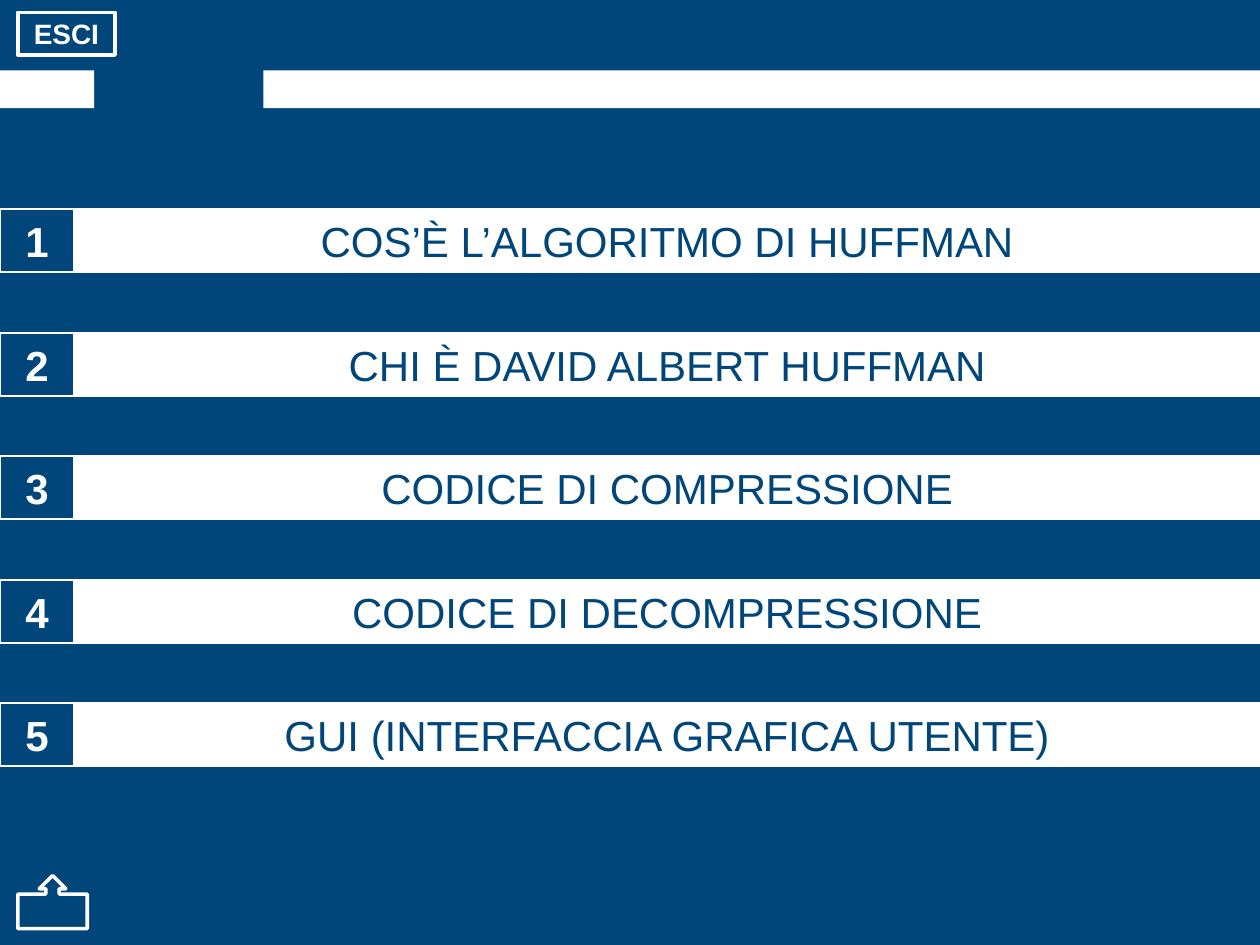
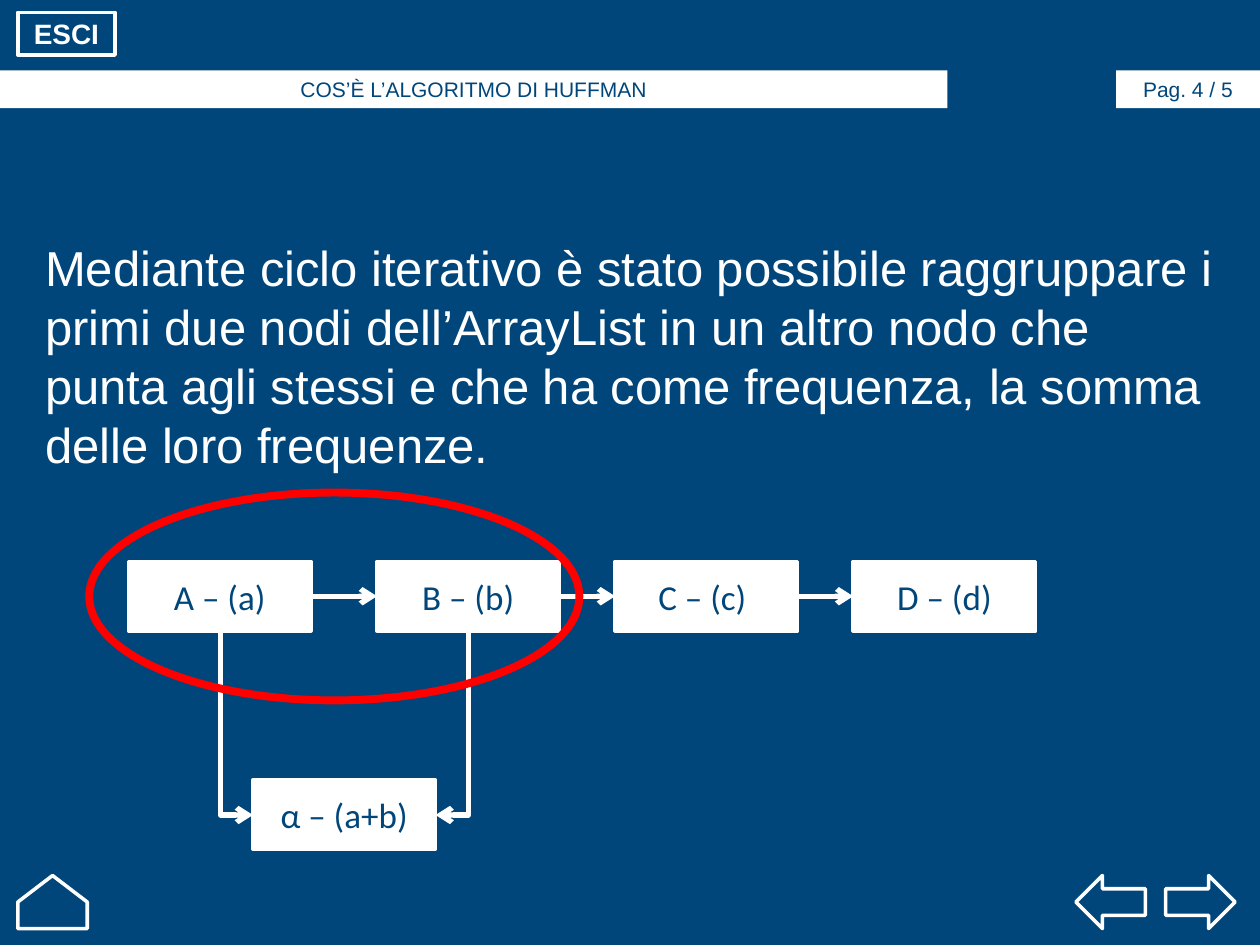
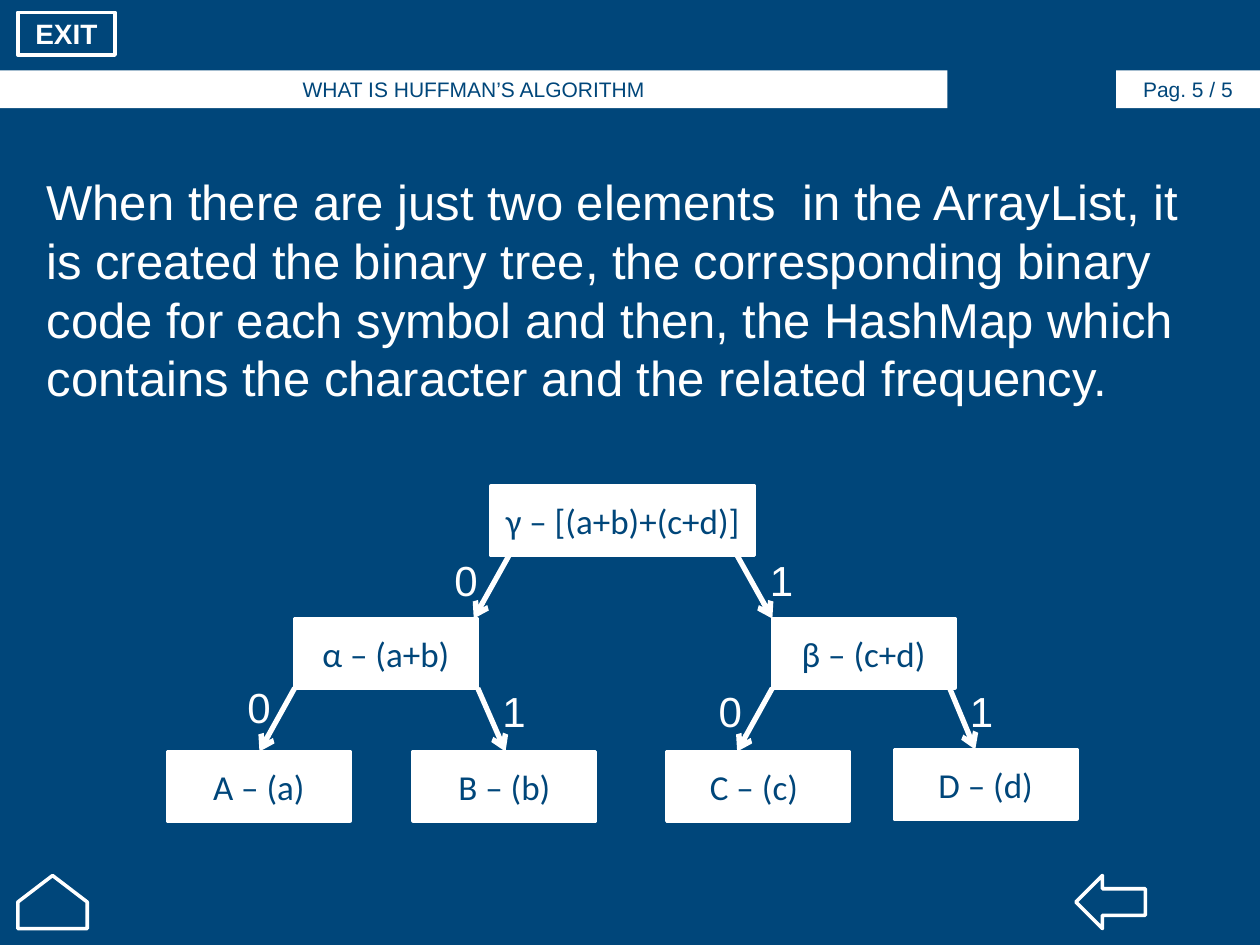
import lxml.etree
import pptx
import pptx.dml.color
import pptx.enum.shapes
import pptx.enum.text
import pptx.oxml.ns
import pptx.util

Cm = pptx.util.Cm
Pt = pptx.util.Pt
SHAPE = pptx.enum.shapes.MSO_SHAPE
CONNECTOR = pptx.enum.shapes.MSO_CONNECTOR
ALIGN = pptx.enum.text.PP_ALIGN
ANCHOR = pptx.enum.text.MSO_ANCHOR
qn = pptx.oxml.ns.qn

NAVY = pptx.dml.color.RGBColor(0x00, 0x46, 0x7A)
WHITE = pptx.dml.color.RGBColor(0xFF, 0xFF, 0xFF)
RED = pptx.dml.color.RGBColor(0xFF, 0x00, 0x00)

BAND_TOP, BAND_HEIGHT = 1.42, 0.76
NAV_TOP, NAV_WIDTH, NAV_HEIGHT = 17.65, 1.4, 1.07
NODE_WIDTH, NODE_HEIGHT = 3.68, 1.4


def add_box(page, kind, place, fill=None, outline=None, width=2, text="", size=20,
            font="Arial", color=NAVY, bold=False, align=ALIGN.CENTER, anchor=ANCHOR.MIDDLE):
    place = [Cm(length) for length in place]
    if kind is None:
        box = page.shapes.add_textbox(*place)
    else:
        box = page.shapes.add_shape(kind, *place)
        box.shadow.inherit = False
    if fill is None:
        box.fill.background()
    else:
        box.fill.solid()
        box.fill.fore_color.rgb = fill
    if outline is None:
        box.line.fill.background()
    else:
        box.line.color.rgb = outline
        box.line.width = Pt(width)
    if text:
        frame = box.text_frame
        frame.word_wrap = True
        frame.vertical_anchor = anchor
        para = frame.paragraphs[0]
        para.text = text
        para.alignment = align
        para.font.name = font
        para.font.size = Pt(size)
        para.font.bold = bold
        para.font.color.rgb = color
    return box


def add_arrow(page, kind, begin=(0, 0), end=(0, 0)):
    arrow = page.shapes.add_connector(kind, *[Cm(length) for length in begin + end])
    arrow.line.color.rgb = WHITE
    arrow.line.width = Pt(3)
    properties = arrow.element.spPr
    lxml.etree.SubElement(properties.find(qn("a:ln")), qn("a:tailEnd"), type="arrow")
    lxml.etree.SubElement(properties, qn("a:effectLst"))
    return arrow


deck = pptx.Presentation()
deck.slide_width = Cm(25.4)
deck.slide_height = Cm(19.05)
background = deck.slide_master.background.fill
background.solid()
background.fore_color.rgb = NAVY
title_layout, blank_layout = deck.slide_layouts[5], deck.slide_layouts[6]

menu = deck.slides.add_slide(blank_layout)
iteration = deck.slides.add_slide(title_layout)
tree = deck.slides.add_slide(title_layout)

for page, label in [(menu, "ESCI"), (iteration, "ESCI"), (tree, "EXIT")]:
    add_box(page, SHAPE.ACTION_BUTTON_CUSTOM, (0.36, 0.25, 1.96, 0.86), NAVY, WHITE,
            text=label, size=16, color=WHITE, bold=True)

for left, width in [(0, 1.9), (5.31, 20.09)]:
    add_box(menu, SHAPE.RECTANGLE, (left, BAND_TOP, width, BAND_HEIGHT), WHITE)
add_box(menu, SHAPE.UP_ARROW_CALLOUT, (0.36, NAV_TOP, NAV_WIDTH, NAV_HEIGHT), NAVY, WHITE)

topics = [
    "COS’È L’ALGORITMO DI HUFFMAN",
    "CHI È DAVID ALBERT HUFFMAN",
    "CODICE DI COMPRESSIONE",
    "CODICE DI DECOMPRESSIONE",
    "GUI (INTERFACCIA GRAFICA UTENTE)",
]
for index, topic in enumerate(topics):
    top = 4.22 + 2.49 * index
    add_box(menu, SHAPE.RECTANGLE, (1.5, top, 23.9, 1.27), WHITE, WHITE, 1, topic, 24)
    add_box(menu, SHAPE.RECTANGLE, (0, top, 1.5, 1.27), NAVY, WHITE, 1, str(index + 1), 24,
            color=WHITE, bold=True)

lessons = [
    (iteration, topics[0], "Pag. 4 / 5", (0.66, 4.67),
     "Mediante ciclo iterativo è stato possibile raggruppare i primi due nodi "
     "dell’ArrayList in un altro nodo che punta agli stessi e che ha come frequenza, "
     "la somma delle loro frequenze."),
    (tree, "WHAT IS HUFFMAN’S ALGORITHM", "Pag. 5 / 5", (0.69, 3.33),
     "When there are just two elements  in the ArrayList, it is created the binary tree, "
     "the corresponding binary code for each symbol and then, the HashMap which contains "
     "the character and the related frequency."),
]
for page, heading, page_number, corner, body in lessons:
    title = page.shapes.title
    title.left, title.top = Cm(0), Cm(BAND_TOP)
    title.width, title.height = Cm(19.1), Cm(BAND_HEIGHT)
    title.fill.solid()
    title.fill.fore_color.rgb = WHITE
    title.text_frame.auto_size = pptx.enum.text.MSO_AUTO_SIZE.NONE
    title.text_frame.vertical_anchor = ANCHOR.MIDDLE
    para = title.text_frame.paragraphs[0]
    para.text = heading
    para.alignment = ALIGN.CENTER
    para.font.name = "Arial"
    para.font.size = Pt(12)
    para.font.color.rgb = NAVY
    add_box(page, SHAPE.RECTANGLE, (22.5, BAND_TOP, 2.9, BAND_HEIGHT), WHITE,
            text=page_number, size=12)
    add_box(page, None, corner + (24.21, 5.05), text=body, size=28, color=WHITE,
            align=ALIGN.LEFT, anchor=ANCHOR.TOP)
    home = add_box(page, SHAPE.UP_ARROW, (0.36, NAV_TOP, NAV_WIDTH, NAV_HEIGHT), NAVY, WHITE)
    home.adjustments[0] = 1
    home.adjustments[1] = 0.5
    add_box(page, SHAPE.LEFT_ARROW, (21.69, NAV_TOP, NAV_WIDTH, NAV_HEIGHT), NAVY, WHITE)
add_box(iteration, SHAPE.RIGHT_ARROW, (23.5, NAV_TOP, NAV_WIDTH, NAV_HEIGHT), NAVY, WHITE)

nodes = []
for page, label, left, top, width in [
    (iteration, "A – (a)", 2.59, 11.32, NODE_WIDTH),
    (iteration, "B – (b)", 7.6, 11.32, NODE_WIDTH),
    (iteration, "C – (c) ", 12.4, 11.32, NODE_WIDTH),
    (iteration, "D – (d)", 17.2, 11.32, NODE_WIDTH),
    (iteration, "α – (a+b)", 5.1, 15.72, NODE_WIDTH),
    (tree, "A – (a)", 3.38, 15.15, NODE_WIDTH),
    (tree, "α – (a+b)", 5.94, 12.47, NODE_WIDTH),
    (tree, "B – (b)", 8.33, 15.15, NODE_WIDTH),
    (tree, "β – (c+d)", 15.57, 12.47, NODE_WIDTH),
    (tree, "C – (c) ", 13.44, 15.15, NODE_WIDTH),
    (tree, "D – (d)", 18.03, 15.11, NODE_WIDTH),
    (tree, "γ – [(a+b)+(c+d)]", 9.9, 9.8, 5.31),
]:
    nodes.append(add_box(page, SHAPE.RECTANGLE, (left, top, width, NODE_HEIGHT), WHITE, WHITE,
                         text=label, font="Calibri"))

node_a, node_b, node_c, node_d, node_sum = nodes[:5]
for source, target in [(node_a, node_b), (node_b, node_c), (node_c, node_d)]:
    arrow = add_arrow(iteration, CONNECTOR.STRAIGHT)
    arrow.begin_connect(source, 3)
    arrow.end_connect(target, 1)

for source, side, left, rotation, flip in [
    (node_a, 1, 2.92, 270, "1"),
    (node_b, 3, 7.26, 90, "0"),
]:
    arrow = add_arrow(iteration, CONNECTOR.ELBOW)
    arrow.begin_connect(source, 2)
    arrow.end_connect(node_sum, side)
    arrow.left, arrow.top = Cm(left), Cm(14.25)
    arrow.width, arrow.height = Cm(3.7), Cm(0.66)
    properties = arrow.element.spPr
    properties.find(qn("a:prstGeom")).set("prst", "bentConnector2")
    transform = properties.find(qn("a:xfrm"))
    transform.set("rot", str(rotation * 60000))
    transform.set("flipH", flip)
    transform.set("flipV", "0")

add_box(iteration, SHAPE.OVAL, (1.8, 9.93, 9.88, 4.19), outline=RED, width=4.5)

for begin, end in [
    ((5.94, 13.87), (5.23, 15.15)),
    ((9.63, 13.87), (10.19, 15.15)),
    ((10.26, 11.2), (9.55, 12.47)),
    ((14.86, 11.2), (15.57, 12.47)),
    ((19.13, 13.84), (19.66, 15.11)),
    ((15.57, 13.87), (14.86, 15.15)),
]:
    add_arrow(tree, CONNECTOR.STRAIGHT, begin, end)

for bit, left, top in [
    ("1", 15.27, 11.05), ("0", 8.69, 11.05), ("1", 19.3, 13.69),
    ("1", 9.88, 13.69), ("0", 4.52, 13.61), ("0", 14.02, 13.69),
]:
    add_box(tree, None, (left, top, 1.19, 1.27), text=bit, size=24, color=WHITE,
            align=ALIGN.RIGHT if bit == "0" else ALIGN.LEFT, anchor=ANCHOR.TOP)

deck.save("out.pptx")
